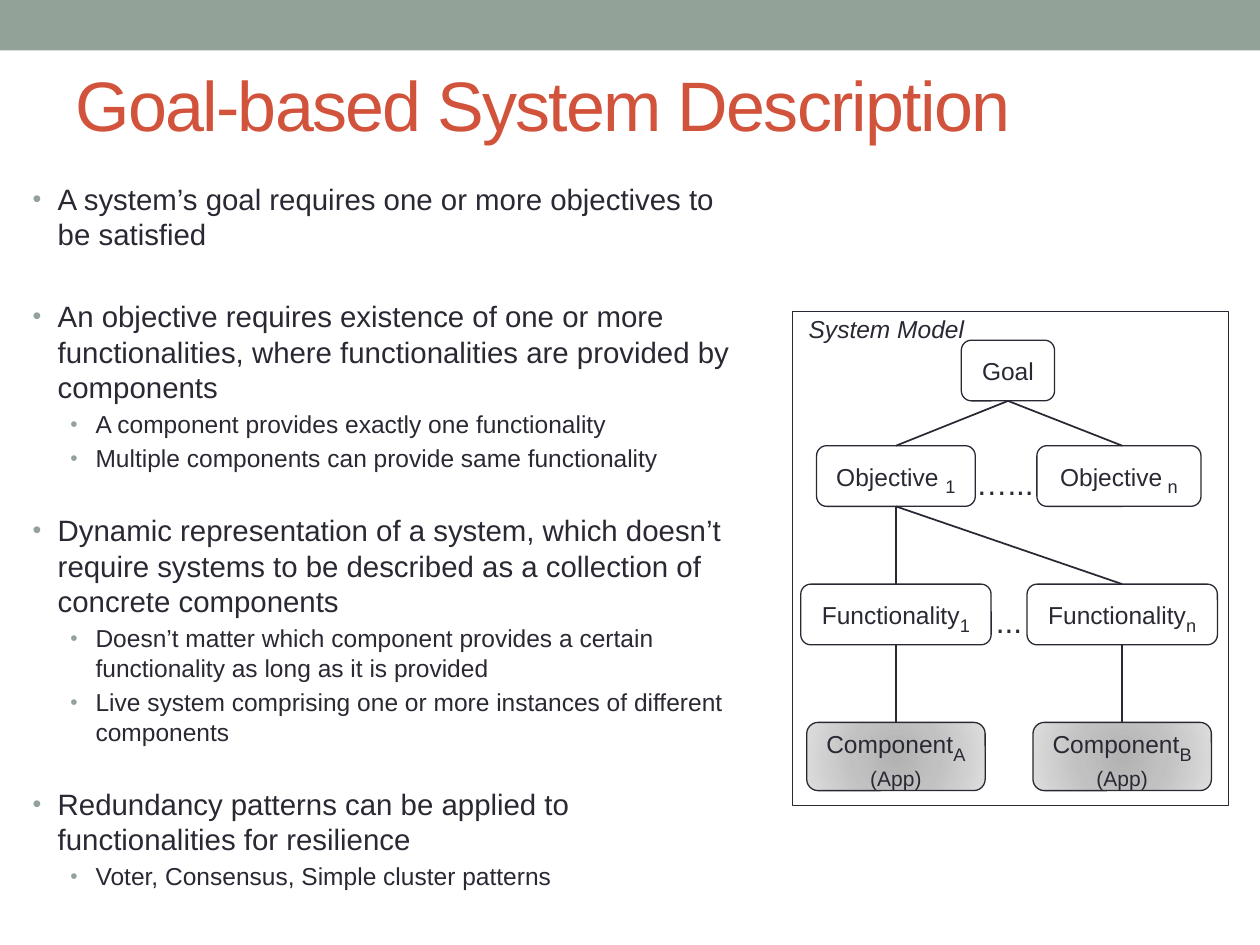
from dataclasses import dataclass

from lxml import etree
from pptx import Presentation
from pptx.dml.color import RGBColor
from pptx.enum.shapes import MSO_CONNECTOR, MSO_SHAPE
from pptx.enum.text import MSO_ANCHOR, PP_ALIGN
from pptx.oxml.ns import qn
from pptx.util import Pt

RECT, ROUND = MSO_SHAPE.RECTANGLE, MSO_SHAPE.ROUNDED_RECTANGLE
LINE = MSO_CONNECTOR.STRAIGHT
TOP, MIDDLE = MSO_ANCHOR.TOP, MSO_ANCHOR.MIDDLE
LEFT, CENTER = PP_ALIGN.LEFT, PP_ALIGN.CENTER


@dataclass(frozen=True)
class Theme:
    font: str = "Arial"
    ink: str = "292934"
    paper: str = "FFFFFF"
    band: str = "93A299"
    accent: str = "D2533C"
    shade: tuple = ((0, "B2B2B3"), (45, "C1C1C2"), (100, "DDDDDE"))
    title: float = 40
    main: float = 16.8
    sub: float = 14
    label: float = 14
    index: float = 18
    note: float = 12


THEME = Theme()


def add_run(para, text, size=THEME.label, color=THEME.ink, italic=False, base=0, track=0):
    """Add a run; base is a baseline shift in percent, track is in points."""
    run = para.add_run()
    run.text = text
    font = run.font
    font.name, font.size, font.italic = THEME.font, Pt(size), italic
    font.color.rgb = RGBColor.from_string(color)
    props = run._r.get_or_add_rPr()
    if base:
        props.set("baseline", str(base * 1000))
    if track:
        props.set("spc", str(track * 100))


def set_bullet(para, left, hang):
    props = para._p.get_or_add_pPr()
    props.set("marL", str(Pt(left)))
    props.set("indent", str(-Pt(hang)))
    color = etree.SubElement(props, qn("a:buClr"))
    etree.SubElement(color, qn("a:srgbClr"), val=THEME.band)
    etree.SubElement(props, qn("a:buSzPct"), val="85000")
    etree.SubElement(props, qn("a:buFont"), typeface=THEME.font)
    etree.SubElement(props, qn("a:buChar"), char="•")


def shade(shape):
    """Give the shape a round gradient in place of its fill."""
    shape.fill.gradient()
    grad = shape._element.spPr.find(qn("a:gradFill"))
    for child in list(grad):
        grad.remove(child)
    stops = etree.SubElement(grad, qn("a:gsLst"))
    for pos, color in THEME.shade:
        stop = etree.SubElement(stops, qn("a:gs"), pos=str(pos * 1000))
        etree.SubElement(stop, qn("a:srgbClr"), val=color)
    way = etree.SubElement(grad, qn("a:path"), path="circle")
    etree.SubElement(way, qn("a:fillToRect"), l="100000", t="100000", r="100000", b="100000")


class Sheet:
    """Holds the theme and the slide, and draws in points."""

    def __init__(self, theme, slide):
        self.theme, self.slide = theme, slide

    def title(self, text, *area):
        shape = self.slide.shapes.title
        shape.left, shape.top, shape.width, shape.height = map(Pt, area)
        frame = shape.text_frame
        frame.vertical_anchor = MIDDLE
        para = frame.paragraphs[0]
        para.alignment = LEFT
        add_run(para, text, size=self.theme.title, color=self.theme.accent, track=-1)

    def box(self, kind, *area, fill=None, line=True):
        shape = self.slide.shapes.add_shape(kind, *map(Pt, area))
        shape.shadow.inherit = False
        shape.fill.solid()
        shape.fill.fore_color.rgb = RGBColor.from_string(fill or self.theme.paper)
        if line:
            shape.line.color.rgb = RGBColor.from_string(self.theme.ink)
            shape.line.width = Pt(0.75)
        else:
            shape.line.fill.background()
        return shape

    def node(self, mid, top, wide, high, name, index="", note=""):
        """Draw a tree node centred on mid; a note line makes it shaded."""
        shape = self.box(ROUND, mid - wide / 2, top, wide, high)
        frame = shape.text_frame
        frame.word_wrap, frame.vertical_anchor = True, MIDDLE
        para = frame.paragraphs[0]
        para.alignment = CENTER
        add_run(para, name)
        if index:
            add_run(para, index, size=self.theme.index, base=-25)
        if note:
            shade(shape)
            para.add_line_break()
            add_run(para, note, size=self.theme.note)

    def text(self, text, *area, align=LEFT, **style):
        frame = self.frame(*area)
        frame.paragraphs[0].alignment = align
        add_run(frame.paragraphs[0], text, **style)

    def frame(self, *area):
        frame = self.slide.shapes.add_textbox(*map(Pt, area)).text_frame
        frame.word_wrap, frame.vertical_anchor = True, TOP
        return frame

    def bullets(self, items, *area):
        """Items are (level, text); each main point starts a new block."""
        frame = self.frame(*area)
        last = None
        for level, text in items:
            para = frame.paragraphs[0] if last is None else frame.add_paragraph()
            size = self.theme.sub if level else self.theme.main
            gap = 0.2 * size
            if level == 0 and last is not None:
                skip = self.theme.sub if last else self.theme.main
                gap += 1.38 * skip
            para.level, para.space_before = level, Pt(gap)
            set_bullet(para, 36 if level else 14.4, 14.4)
            add_run(para, text, size=size)
            last = level

    def link(self, *ends):
        line = self.slide.shapes.add_connector(LINE, *map(Pt, ends))
        line.line.color.rgb = RGBColor.from_string(self.theme.ink)
        line.line.width = Pt(1)
        etree.SubElement(line._element.spPr, qn("a:effectLst"))


POINTS = (
    (0, "A system’s goal requires one or more objectives to be satisfied"),
    (0, "An objective requires existence of one or more functionalities, "
        "where functionalities are provided by components"),
    (1, "A component provides exactly one functionality"),
    (1, "Multiple components can provide same functionality"),
    (0, "Dynamic representation of a system, which doesn’t require systems "
        "to be described as a collection of concrete components"),
    (1, "Doesn’t matter which component provides a certain functionality "
        "as long as it is provided"),
    (1, "Live system comprising one or more instances of different components"),
    (0, "Redundancy patterns can be applied to functionalities for resilience"),
    (1, "Voter, Consensus, Simple cluster patterns"),
)


def draw_model(sheet):
    root, near, far = 576, 512, 641.3
    goal, aim, func, part = 194.4, 254.7, 333.8, 412.8
    high = 34.7
    sheet.box(RECT, 452.7, 178, 249.5, 282.5)
    sheet.node(root, goal, 53.3, high, "Goal")
    sheet.node(near, aim, 90.7, high, "Objective ", "1")
    sheet.node(639.4, aim, 93.8, high, "Objective", " n")
    for mid, index, letter in ((near, "1", "A"), (far, "n", "B")):
        sheet.node(mid, func, 108.8, high, "Functionality", index)
        sheet.node(mid, part, 102, 39, "Component", letter, "(App)")
        sheet.link(root, goal + high, mid, aim)
        sheet.link(near, aim + high, mid, func)
        sheet.link(mid, func + high, mid, part)
    sheet.text("System Model", 455, 175.7, 111.6, 24.5, italic=True)
    for dots, left, top, wide in (("…...", 548, 261.5, 52.5), ("...", 555, 340.5, 43.2)):
        sheet.text(dots, left, top, wide, 29, align=CENTER, size=THEME.index)


def main():
    deck = Presentation()
    deck.slide_width, deck.slide_height = Pt(720), Pt(540)
    sheet = Sheet(THEME, deck.slides.add_slide(deck.slide_layouts[5]))
    sheet.box(RECT, 0, 0, 720, 28.8, fill=THEME.band, line=False)
    sheet.title("Goal-based System Description", 36, 14.4, 648, 90)
    sheet.bullets(POINTS, 11.5, 100, 417, 434)
    draw_model(sheet)
    deck.save("out.pptx")


if __name__ == "__main__":
    main()
